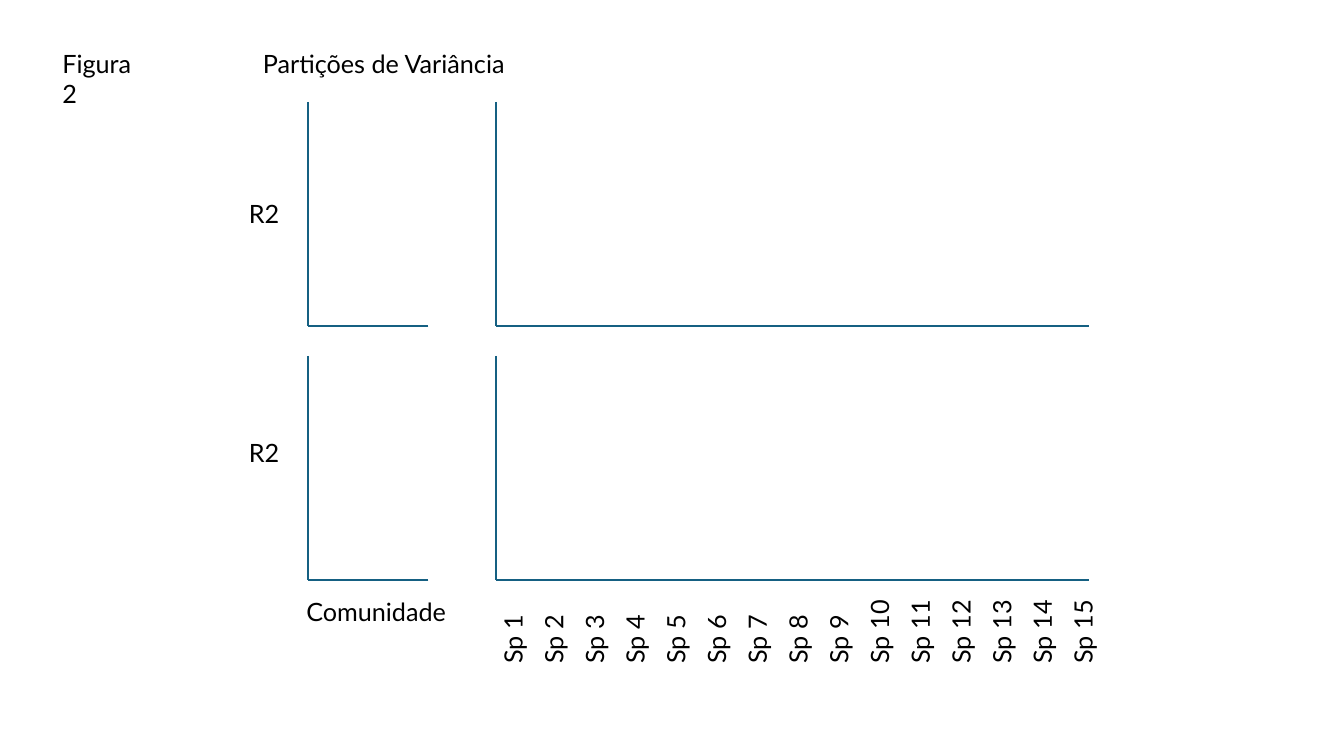
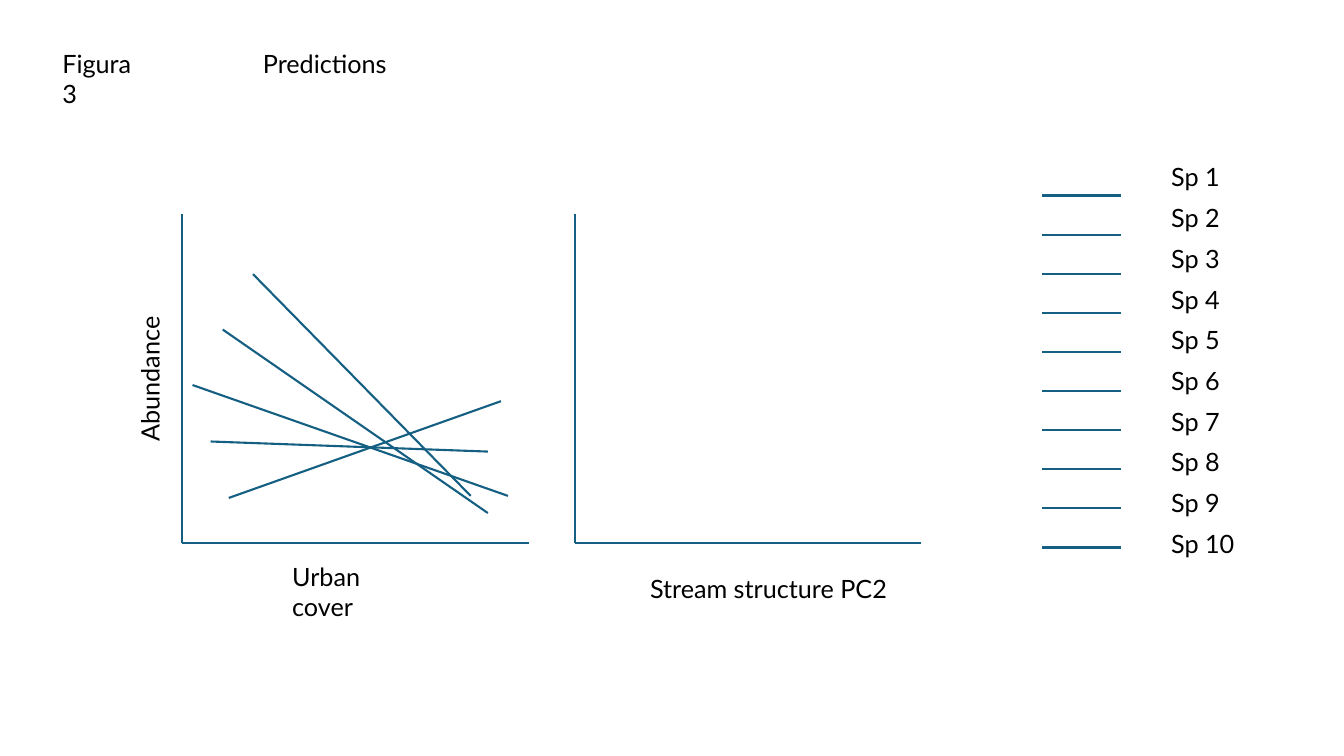
from dataclasses import dataclass

from lxml import etree
from pptx import Presentation
from pptx import util as u
from pptx.dml.color import RGBColor
from pptx.enum import shapes, text
from pptx.oxml import ns


@dataclass(frozen=True)
class Theme:
    font: str = "Lato"
    size: float = 18
    ink: RGBColor = RGBColor(0x00, 0x00, 0x00)
    paper: RGBColor = RGBColor(0xFF, 0xFF, 0xFF)
    line: RGBColor = RGBColor(0x15, 0x60, 0x82)
    line_width: float = 1.5


THEME = Theme()

# The slide is a grid of 133.33 columns by 75 rows, each 0.1 inch
COLUMNS, ROWS = 133.33, 75
LABEL_HEIGHT = 4
SPECIES_WIDTH = 16.2
SPECIES_PITCH = 4.04
LEGEND_LINE_PITCH = 3.88


def grid(cells):
    return u.Inches(cells / 10)


# Basic elements
def add_label(parent, words, left, top, width, rotation=0):
    box = parent.add_textbox(*map(grid, (left, top, width, LABEL_HEIGHT)))
    box.rotation = rotation
    frame = box.text_frame
    frame.word_wrap = True
    frame.auto_size = text.MSO_AUTO_SIZE.SHAPE_TO_FIT_TEXT
    paragraph = frame.paragraphs[0]
    paragraph.text = words
    paragraph.font.name = THEME.font
    paragraph.font.size = u.Pt(THEME.size)
    paragraph.font.color.rgb = THEME.ink


def add_line(parent, x1, y1, x2, y2):
    line = parent.add_connector(
        shapes.MSO_CONNECTOR.STRAIGHT, *map(grid, (x1, y1, x2, y2)))
    line.line.color.rgb = THEME.line
    line.line.width = u.Pt(THEME.line_width)
    etree.SubElement(line._element.spPr, ns.qn("a:effectLst"))


# Elements of a figure
def add_axes(slide, left, top, width, height):
    axes = slide.shapes.add_group_shape().shapes
    bottom = top + height
    add_line(axes, left, top, left, bottom)
    add_line(axes, left + width, bottom, left, bottom)


def add_species(parent, count, left, top, step_x=0, step_y=0, rotation=0):
    for index in range(count):
        add_label(parent, f"Sp {index + 1}", left + index * step_x,
                  top + index * step_y, SPECIES_WIDTH, rotation)


def add_figure_slide(presentation, number, title, title_width):
    slide = presentation.slides.add_slide(presentation.slide_layouts[6])
    slide.background.fill.solid()
    slide.background.fill.fore_color.rgb = THEME.paper
    add_label(slide.shapes, f"Figura {number}", 5.2, 4.3, 10.5)
    add_label(slide.shapes, title, 25.1, 4.3, title_width)
    return slide


# Slides
def build_variance(presentation):
    slide = add_figure_slide(presentation, 2, "Partições de Variância", 26.5)
    for top, label_top in ((10.1, 19.2), (35.3, 42.9)):
        for left, width in ((30.6, 11.9), (49.2, 58.8)):
            add_axes(slide, left, top, width, 22.25)
        add_label(slide.shapes, "R2", 23.7, label_top, 6.9)
    add_label(slide.shapes, "Comunidade", 29.4, 58.7, 16.2)
    add_species(slide.shapes, 15, 42.75, 56.7, step_x=SPECIES_PITCH, rotation=270)


def build_predictions(presentation):
    slide = add_figure_slide(presentation, 3, "Predictions", 14.6)

    # Panels and axis titles
    for left in (18.1, 57):
        add_axes(slide, left, 21.2, 34.4, 32.65)
    add_label(slide.shapes, "Abundance", 7.55, 35.5, 14.6, rotation=270)
    add_label(slide.shapes, "Urban cover", 28, 55.2, 14.5)
    add_label(slide.shapes, "Stream structure PC2", 63.5, 56.4, 30.1)

    # Legend
    legend = slide.shapes.add_group_shape().shapes
    add_species(legend, 10, 115.2, 15.55, step_y=SPECIES_PITCH)
    for index in range(10):
        y = 19.4 + index * LEGEND_LINE_PITCH
        add_line(slide.shapes, 103.4, y, 111.2, y)

    # Responses to urban cover
    for ends in ((25.1, 27.2, 46.7, 49.2), (22.1, 32.7, 48.4, 50.9),
                 (19.1, 38.2, 50.4, 49.2), (20.9, 43.8, 48.4, 44.8),
                 (22.7, 49.4, 49.7, 39.8)):
        add_line(slide.shapes, *ends)


def main():
    presentation = Presentation()
    presentation.slide_width = grid(COLUMNS)
    presentation.slide_height = grid(ROWS)
    build_variance(presentation)
    build_predictions(presentation)
    presentation.save("out.pptx")


if __name__ == "__main__":
    main()
